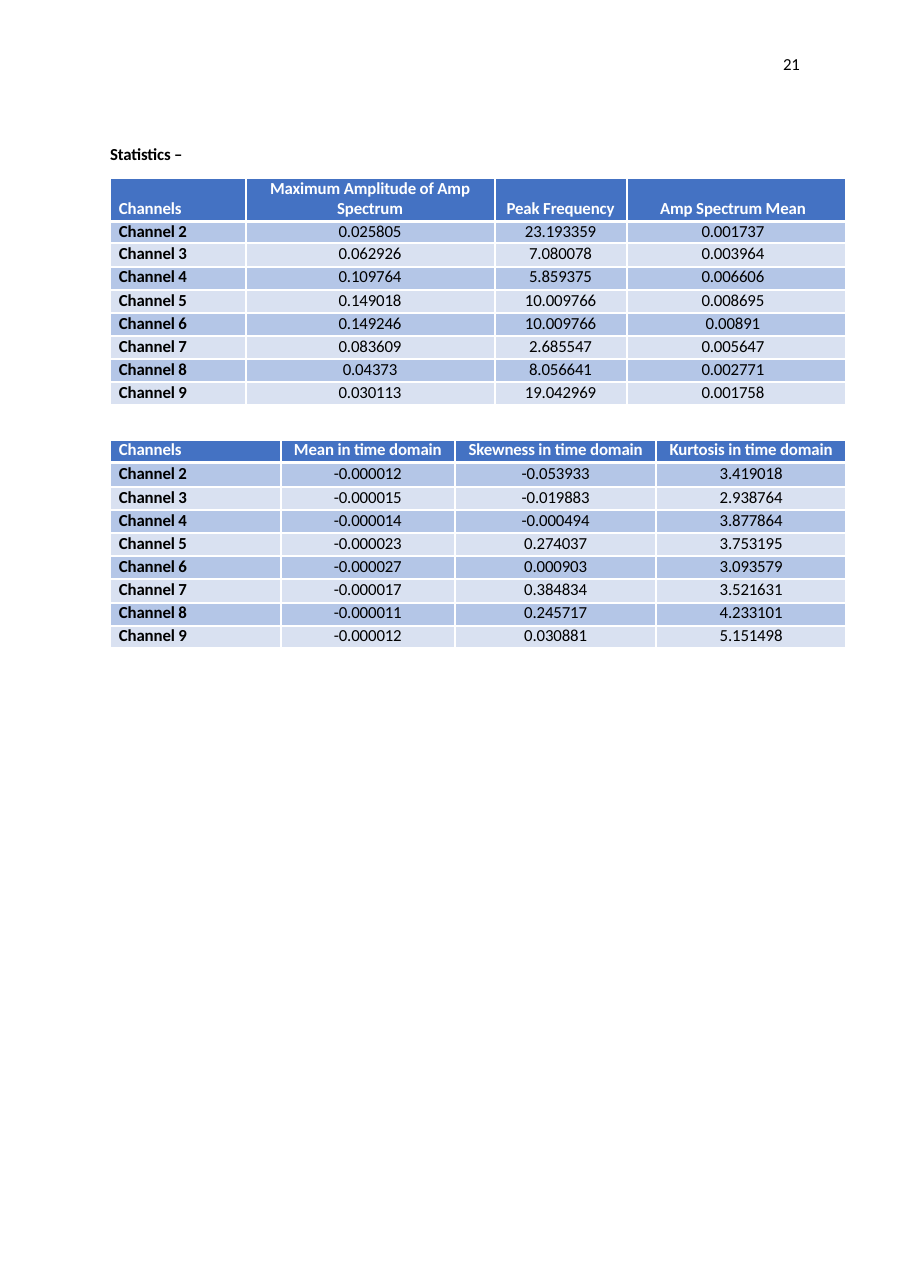
"""Build a report page with two tables of channel statistics."""
from lxml.etree import SubElement
from pptx import Presentation
from pptx.dml.color import RGBColor
from pptx.enum.text import MSO_ANCHOR as Anchor, PP_ALIGN as Align
from pptx.oxml.ns import qn
from pptx.util import Pt

SCALE = 9144
PAGE_WIDTH, PAGE_HEIGHT = 828, 1169
FONT, FONT_SIZE, LINE_HEIGHT = "Calibri", 11, 12.9
WHITE, BLACK = "FFFFFF", "000000"
HEADER_FILL, BANDS = "4472C3", ("B4C6E7", "D9E1F1")
THIN, THICK = 1.5, 2.25
TABLE_LEFT, LABEL_INDENT = 100, 8

LABELS = [
    ("21", 710, 47, 18, False),
    ("Statistics –", 99, 129, 70, True),
]
SPECTRUM = {
    "top": 162,
    "columns": (123, 226, 120, 199),
    "rows": (39, 20) + (21,) * 7,
    "last_margin": 6,
    "header": ("Channels", "Maximum Amplitude of Amp\nSpectrum",
               "Peak Frequency", "Amp Spectrum Mean"),
    "values": [
        ("0.025805", "23.193359", "0.001737"),
        ("0.062926", "7.080078", "0.003964"),
        ("0.109764", "5.859375", "0.006606"),
        ("0.149018", "10.009766", "0.008695"),
        ("0.149246", "10.009766", "0.00891"),
        ("0.083609", "2.685547", "0.005647"),
        ("0.04373", "8.056641", "0.002771"),
        ("0.030113", "19.042969", "0.001758"),
    ],
}
TIME_DOMAIN = {
    "top": 399,
    "columns": (155, 158, 183, 172),
    "rows": (21, 22) + (21,) * 6 + (20,),
    "last_margin": 0,
    "header": ("Channels", "Mean in time domain",
               "Skewness in time domain", "Kurtosis in time domain"),
    "values": [
        ("-0.000012", "-0.053933", "3.419018"),
        ("-0.000015", "-0.019883", "2.938764"),
        ("-0.000014", "-0.000494", "3.877864"),
        ("-0.000023", "0.274037", "3.753195"),
        ("-0.000027", "0.000903", "3.093579"),
        ("-0.000017", "0.384834", "3.521631"),
        ("-0.000011", "0.245717", "4.233101"),
        ("-0.000012", "0.030881", "5.151498"),
    ],
}


def px(length):
    return length * SCALE


def color(value):
    return RGBColor.from_string(value)


def format_text(text_frame, text_color, bold, align=Align.LEFT):
    for paragraph in text_frame.paragraphs:
        paragraph.alignment = align
        paragraph.line_spacing = Pt(LINE_HEIGHT)
        for run in paragraph.runs:
            run.font.name = FONT
            run.font.size = Pt(FONT_SIZE)
            run.font.bold = bold
            run.font.color.rgb = color(text_color)
            run._r.get_or_add_rPr().set("spc", "-10")


def add_label(slide, text, left, top, width, bold):
    box = slide.shapes.add_textbox(px(left), px(top), px(width), px(21))
    frame = box.text_frame
    frame.word_wrap = True
    frame.margin_left, frame.margin_top = px(1), px(2)
    frame.margin_right = frame.margin_bottom = 0
    frame.text = text
    format_text(frame, BLACK, bold)


def set_borders(cell, widths):
    properties = cell._tc.get_or_add_tcPr()
    for position, (side, width) in enumerate(widths.items()):
        line = SubElement(properties, qn(f"a:ln{side}"), w=str(int(Pt(width))))
        fill = SubElement(line, qn("a:solidFill"))
        SubElement(fill, qn("a:srgbClr"), val=WHITE)
        properties.insert(position, line)


def fill_cell(cell, text, row, column, right_margin):
    is_header, is_label = row == 0, column == 0
    cell.margin_left = px(LABEL_INDENT if is_label else 0)
    cell.margin_right = px(right_margin)
    cell.margin_top = 0
    cell.margin_bottom = px(2 if is_header else 1)
    cell.vertical_anchor = Anchor.BOTTOM if is_header else Anchor.MIDDLE
    cell.text_frame.text = text
    format_text(cell.text_frame, WHITE if is_header else BLACK,
                is_header or is_label, Align.LEFT if is_label else Align.CENTER)
    cell.fill.solid()
    cell.fill.fore_color.rgb = color(HEADER_FILL if is_header else BANDS[(row - 1) % 2])
    set_borders(cell, {"L": THIN, "R": THIN,
                       "T": THICK if row == 1 else THIN,
                       "B": THICK if is_header else THIN})


def add_statistics(slide, content):
    columns, rows = content["columns"], content["rows"]
    table = slide.shapes.add_table(
        len(rows), len(columns), px(TABLE_LEFT), px(content["top"]),
        px(sum(columns)), px(sum(rows))).table
    table.horz_banding = False
    for column, width in zip(table.columns, columns):
        column.width = px(width)
    for row, height in zip(table.rows, rows):
        row.height = px(height)
    channels = [(f"Channel {number}", *values)
                for number, values in enumerate(content["values"], start=2)]
    for row, texts in enumerate([content["header"], *channels]):
        for column, text in enumerate(texts):
            is_last = column == len(columns) - 1
            fill_cell(table.cell(row, column), text, row, column,
                      content["last_margin"] if is_last else 0)


def main():
    presentation = Presentation()
    presentation.slide_width = px(PAGE_WIDTH)
    presentation.slide_height = px(PAGE_HEIGHT)
    slide = presentation.slides.add_slide(presentation.slide_layouts[6])
    for content in (SPECTRUM, TIME_DOMAIN):
        add_statistics(slide, content)
    for label in LABELS:
        add_label(slide, *label)
    presentation.save("out.pptx")


if __name__ == "__main__":
    main()
